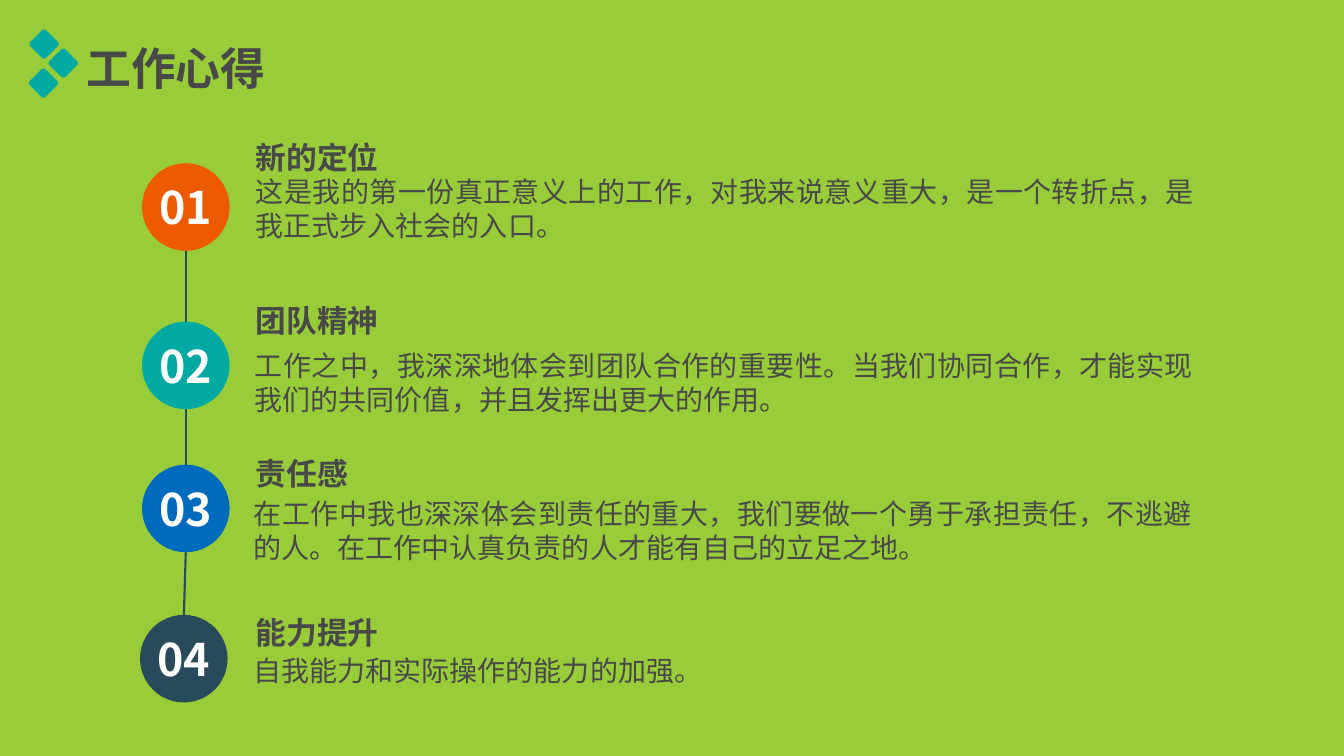
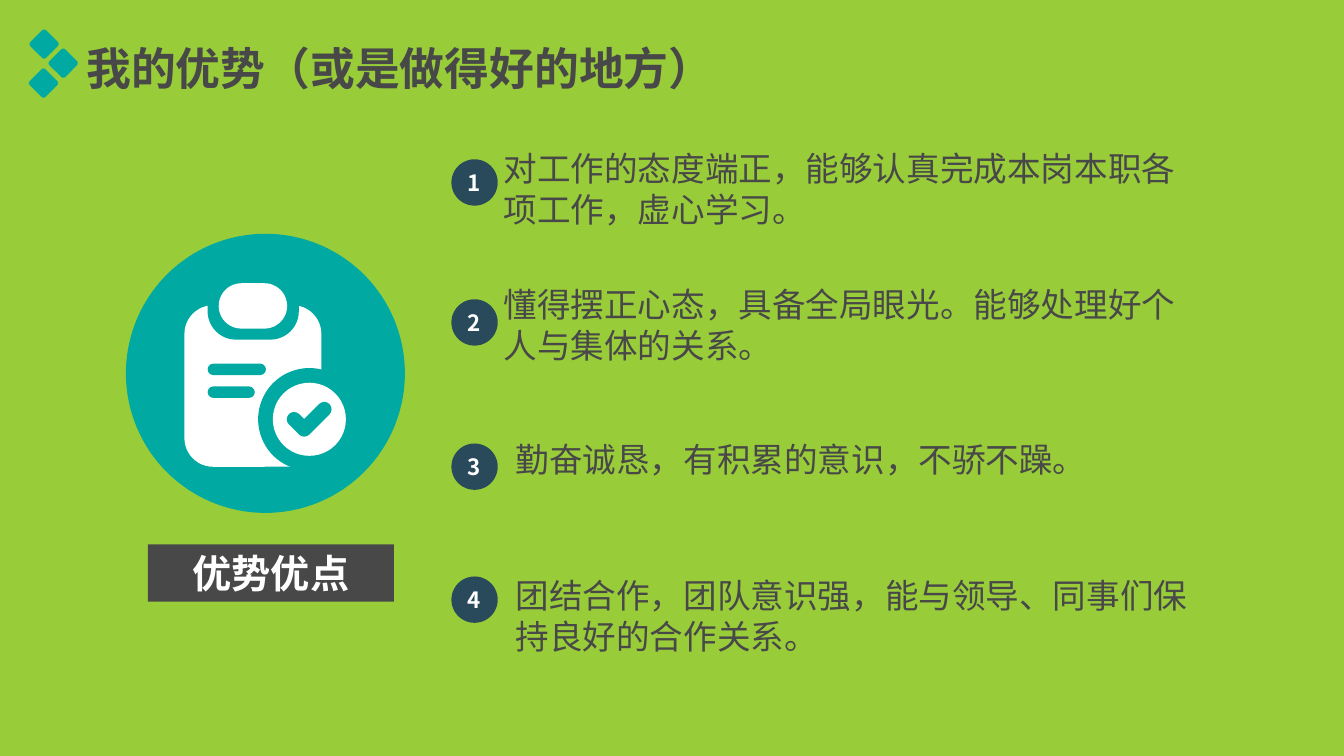
from pptx import Presentation
from pptx.dml.color import RGBColor
from pptx.enum.shapes import MSO_CONNECTOR as Connector, MSO_SHAPE as Preset
from pptx.enum.text import MSO_ANCHOR as Anchor, MSO_AUTO_SIZE as AutoSize, PP_ALIGN as Align
from pptx.oxml.ns import qn
from pptx.util import Pt
from lxml.etree import SubElement

FONT = "Noto Sans CJK SC"
LIME = RGBColor(0x99, 0xCC, 0x39)
TEAL = RGBColor(0x00, 0xAA, 0xA2)
ORANGE = RGBColor(0xED, 0x5A, 0x00)
BLUE = RGBColor(0x00, 0x6B, 0xBC)
NAVY = RGBColor(0x29, 0x4A, 0x5A)
GRAY = RGBColor(0x48, 0x48, 0x49)
WHITE = RGBColor(0xFF, 0xFF, 0xFF)

LINE_FACTOR = 1.215
DIAMOND_CENTERS = [(31.5, 31.5), (45.2, 45.2), (31.1, 59.4)]
DIAMOND_SIDE = 16

INSIGHTS_TITLE = "工作心得"
INSIGHTS = [
    dict(color=ORANGE, circle=(101.5, 116.6), heading="新的定位", heading_top=95, body_at=(175.7, 121),
         body="这是我的第一份真正意义上的工作，对我来说意义重大，是一个转折点，是我正式步入社会的入口。"),
    dict(color=TEAL, circle=(101.5, 229.7), heading="团队精神", heading_top=211.7, body_at=(175, 244.8),
         body="工作之中，我深深地体会到团队合作的重要性。当我们协同合作，才能实现我们的共同价值，并且发挥出更大的作用。"),
    dict(color=BLUE, circle=(101.5, 331.9), heading="责任感", heading_top=321.1, body_at=(174.2, 350.6),
         body="在工作中我也深深体会到责任的重大，我们要做一个勇于承担责任，不逃避的人。在工作中认真负责的人才能有自己的立足之地。"),
    dict(color=NAVY, circle=(100.1, 439.2), heading="能力提升", heading_top=434.2, body_at=(174.2, 463),
         body="自我能力和实际操作的能力的加强。"),
]
CIRCLE_SIZE = 62.6

STRENGTHS_TITLE = "我的优势（或是做得好的地方）"
STRENGTHS_LABEL = "优势优点"
STRENGTHS = [
    (113.8, 352.8, 101.5, "对工作的态度端正，能够认真完成本岗本职各项工作，虚心学习。"),
    (213.8, 352.8, 198.7, "懂得摆正心态，具备全局眼光。能够处理好个人与集体的关系。"),
    (316.8, 361.4, 309.6, "勤奋诚恳，有积累的意识，不骄不躁。"),
    (411.8, 361.4, 406.8, "团结合作，团队意识强，能与领导、同事们保持良好的合作关系。"),
]
BADGE_LEFT, BADGE_SIZE = 322.6, 33.1

CLIPBOARD_PARTS = [
    (Preset.OVAL, (90, 167, 199.4, 199.4), TEAL, None),
    (Preset.ROUNDED_RECTANGLE, (131.8, 218, 97.9, 115.4), WHITE, 0.21),
    (Preset.ROUNDED_RECTANGLE, (148.4, 194.2, 65.2, 48.4), TEAL, 0.42),
    (Preset.ROUNDED_RECTANGLE, (156.3, 202.3, 48.9, 32.4), WHITE, 0.5),
    (Preset.ROUNDED_RECTANGLE, (148.4, 259.7, 41.7, 8.2), TEAL, 0.5),
    (Preset.ROUNDED_RECTANGLE, (148.4, 276, 33.7, 8.2), TEAL, 0.5),
    (Preset.OVAL, (184.5, 262.9, 73.2, 73.2), TEAL, None),
    (Preset.OVAL, (195, 273.4, 52.2, 52.2), WHITE, None),
]
CHECK_POINTS = [(210.2, 299.5), (217.4, 306.7), (231.8, 292.3)]
CHECK_WIDTH = 10.4


def style_text(text_frame, text, size, color, bold, align):
    text_frame.text = text
    paragraph = text_frame.paragraphs[0]
    paragraph.alignment = align
    run = paragraph.runs[0]
    font = run.font
    font.name, font.size, font.bold = FONT, Pt(size), bold
    font.color.rgb = color
    SubElement(font._element, qn("a:ea")).set("typeface", FONT)
    return paragraph


def add_text(slide, text, left, top, width, size, lines=1, bold=False, align=Align.LEFT):
    line_height = round(size * LINE_FACTOR, 1)
    box = slide.shapes.add_textbox(Pt(left), Pt(top), Pt(width), Pt(lines * line_height + 7.2))
    box.text_frame.word_wrap = True
    box.text_frame.auto_size = AutoSize.SHAPE_TO_FIT_TEXT
    paragraph = style_text(box.text_frame, text, size, GRAY, bold, align)
    paragraph.line_spacing = Pt(line_height)


def add_filled(slide, preset, bounds, color, corner=None):
    shape = slide.shapes.add_shape(preset, *(Pt(value) for value in bounds))
    shape.shadow.inherit = False
    shape.fill.solid()
    shape.fill.fore_color.rgb = color
    shape.line.fill.background()
    if corner is not None:
        shape.adjustments[0] = corner
    return shape


def add_labelled(slide, preset, bounds, color, text, size):
    text_frame = add_filled(slide, preset, bounds, color).text_frame
    text_frame.margin_left = text_frame.margin_right = 0
    text_frame.margin_top = text_frame.margin_bottom = 0
    text_frame.word_wrap = False
    text_frame.vertical_anchor = Anchor.MIDDLE
    style_text(text_frame, text, size, WHITE, True, Align.CENTER)


def add_link(slide, start, end):
    connector = slide.shapes.add_connector(Connector.STRAIGHT, *(Pt(value) for value in start + end))
    connector.line.color.rgb = NAVY
    connector.line.width = Pt(1.5)
    SubElement(connector._element.spPr, qn("a:effectLst"))


def add_check(slide):
    points = [(Pt(x), Pt(y)) for x, y in CHECK_POINTS]
    builder = slide.shapes.build_freeform(*points[0])
    builder.add_line_segments(points[1:], close=False)
    check = builder.convert_to_shape()
    check.shadow.inherit = False
    check.fill.background()
    check.line.color.rgb = TEAL
    check.line.width = Pt(CHECK_WIDTH)
    outline = check.line._get_or_add_ln()
    outline.set("cap", "rnd")
    SubElement(outline, qn("a:round"))


def add_titled_slide(presentation, title):
    slide = presentation.slides.add_slide(presentation.slide_layouts[6])
    add_text(slide, title, 54.7, 25.2, 470.9, 32, bold=True)
    for x, y in DIAMOND_CENTERS:
        bounds = (x - DIAMOND_SIDE / 2, y - DIAMOND_SIDE / 2, DIAMOND_SIDE, DIAMOND_SIDE)
        add_filled(slide, Preset.ROUNDED_RECTANGLE, bounds, TEAL, 0.13).rotation = 45
    return slide


def build_insights(presentation):
    slide = add_titled_slide(presentation, INSIGHTS_TITLE)
    for upper, lower in zip(INSIGHTS, INSIGHTS[1:]):
        (upper_left, upper_top), (lower_left, lower_top) = upper["circle"], lower["circle"]
        add_link(slide, (upper_left + CIRCLE_SIZE / 2, upper_top + CIRCLE_SIZE),
                 (lower_left + CIRCLE_SIZE / 2, lower_top))
    for number, item in enumerate(INSIGHTS, 1):
        bounds = (*item["circle"], CIRCLE_SIZE, CIRCLE_SIZE)
        add_labelled(slide, Preset.OVAL, bounds, item["color"], f"{number:02}", 32)
        add_text(slide, item["heading"], 175.7, item["heading_top"], 189.4, 22, bold=True, align=Align.JUSTIFY)
        lines = 2 if len(item["body"]) > 33 else 1
        add_text(slide, item["body"], *item["body_at"], 684.7, 20, lines, align=Align.JUSTIFY)


def build_strengths(presentation):
    slide = add_titled_slide(presentation, STRENGTHS_TITLE)
    add_labelled(slide, Preset.RECTANGLE, (105.8, 388.8, 175.7, 41), GRAY, STRENGTHS_LABEL, 28)
    for part in CLIPBOARD_PARTS:
        add_filled(slide, *part)
    add_check(slide)
    for number, (badge_top, left, top, text) in enumerate(STRENGTHS, 1):
        bounds = (BADGE_LEFT, badge_top, BADGE_SIZE, BADGE_SIZE)
        add_labelled(slide, Preset.OVAL, bounds, NAVY, str(number), 16)
        add_text(slide, text, left, top, 504.7, 24, 2 if len(text) > 20 else 1)


def main():
    """Build the two slides on work insights and personal strengths."""
    presentation = Presentation()
    presentation.slide_width, presentation.slide_height = Pt(960.48), Pt(540)
    background = presentation.slide_master.background.fill
    background.solid()
    background.fore_color.rgb = LIME
    build_insights(presentation)
    build_strengths(presentation)
    presentation.save("out.pptx")


if __name__ == "__main__":
    main()
